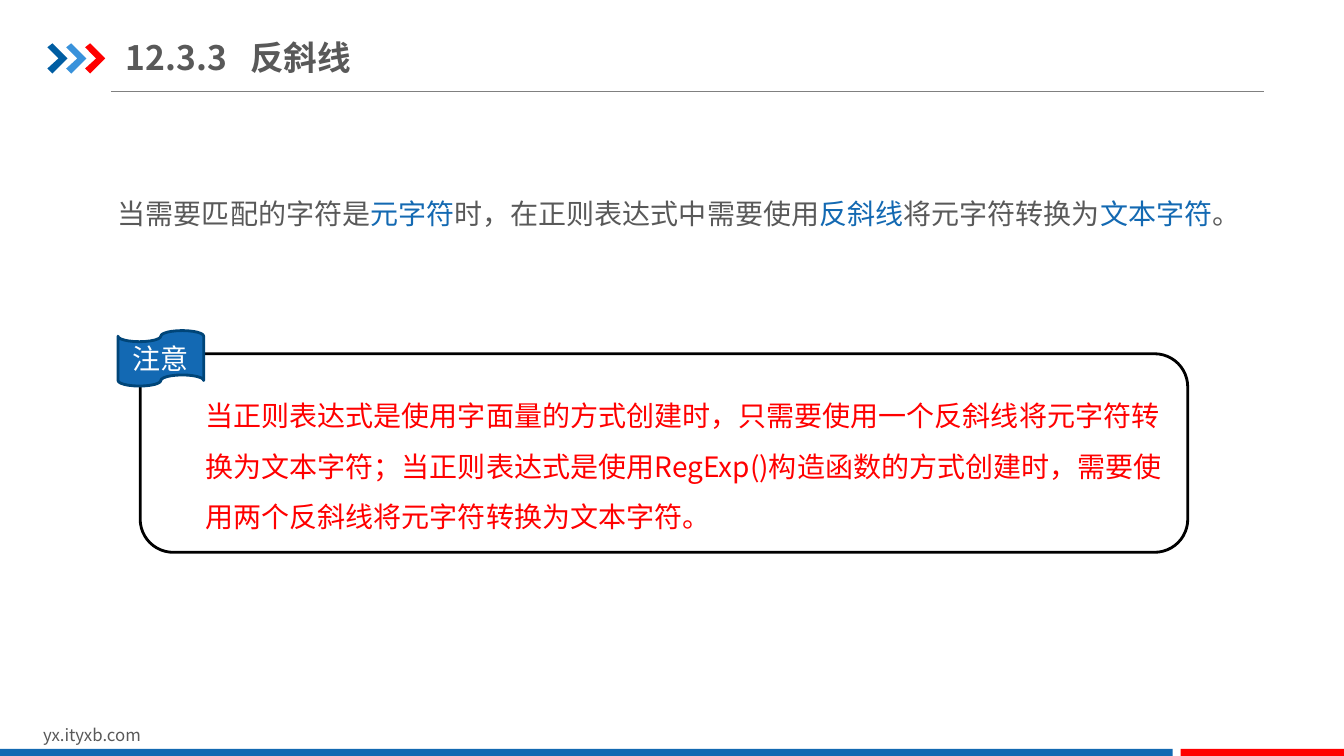
from lxml import etree
from pptx import Presentation
from pptx import util as u
from pptx.dml import color
from pptx.enum import shapes, text
from pptx.oxml import ns

FONT = "Noto Sans CJK SC"
GREY, BLUE, RED, WHITE = "595959", "1369B2", "FF0000", "FFFFFF"


def rgb(value):
    """Turn a hex string into a colour."""
    return color.RGBColor.from_string(value)


def box(lengths):
    """Turn left, top, width and height into lengths."""
    return [u.Inches(length) for length in lengths]


def paint(shape, fill=None, line=None, width=2):
    """Set the fill and outline of a shape and drop its shadow."""
    shape.shadow.inherit = False
    if fill:
        shape.fill.solid()
        shape.fill.fore_color.rgb = rgb(fill)
    else:
        shape.fill.background()
    if line:
        shape.line.color.rgb = rgb(line)
        shape.line.width = u.Pt(width)
    else:
        shape.line.fill.background()


def write(shape, runs, size, spacing=None, bold=None, align=None, tab=None, **frame_format):
    """Fill a shape with one paragraph of coloured runs."""
    frame = shape.text_frame
    for name, value in {"word_wrap": True, **frame_format}.items():
        setattr(frame, name, value)
    paragraph = frame.paragraphs[0]
    for name, value in {"line_spacing": spacing, "alignment": align}.items():
        setattr(paragraph, name, value)
    if tab:
        stops = etree.SubElement(paragraph._p.get_or_add_pPr(), ns.qn("a:tabLst"))
        etree.SubElement(stops, ns.qn("a:tab"), pos=str(u.Inches(tab)), algn="l")
    for words, shade in runs:
        run = paragraph.add_run()
        run.text = words
        run.font.color.rgb = rgb(shade)
        for name, value in {"size": u.Pt(size), "bold": bold, "name": FONT}.items():
            setattr(run.font, name, value)
        etree.SubElement(run.font._element, ns.qn("a:ea"), typeface=FONT)


def add_text(slide, lengths, runs, size, **formats):
    """Add a text box."""
    write(slide.shapes.add_textbox(*box(lengths)), runs, size, **formats)


def add_preset(slide, kind, lengths, **colours):
    """Add a painted preset shape."""
    shape = slide.shapes.add_shape(kind, *box(lengths))
    paint(shape, **colours)
    return shape


def add_chevron(slide, left, top, fill):
    """Draw one chevron of the heading mark."""
    points = [(0, 0.04), (0.05, 0), (0.2, 0.15), (0.05, 0.3), (0, 0.25), (0.11, 0.15)]
    corners = [(u.Inches(left + x), u.Inches(top + y)) for x, y in points]
    builder = slide.shapes.build_freeform(*corners[0])
    builder.add_line_segments(corners[1:], close=True)
    paint(builder.convert_to_shape(), fill)


def add_rule(slide, left, right, top):
    """Draw the thin line under the heading."""
    ends = box((left, top, right, top))
    rule = slide.shapes.add_connector(shapes.MSO_CONNECTOR.STRAIGHT, *ends)
    rule.line.color.rgb = rgb("808080")
    rule.line.width = u.Pt(0.75)
    etree.SubElement(rule._element.spPr, ns.qn("a:effectLst"))


def add_frame(slide):
    """Add the heading mark, its rule and the footer."""
    add_rule(slide, 1.1, 12.54, 0.91)
    for index, fill in enumerate(("005DA2", "3992DB", RED)):
        add_chevron(slide, 0.47 + 0.187 * index, 0.43, fill)
    add_text(slide, (0.33, 7.14, 3.18, 0.3), [("yx.ityxb.com", GREY)], 12)
    for left, width, fill in ((0, 11.63, BLUE), (11.71, 1.63, RED)):
        add_preset(slide, shapes.MSO_SHAPE.RECTANGLE, (left, 7.43, width, 0.09), fill=fill)


def add_note(slide, label, words):
    """Add the outlined note with its flag label."""
    add_preset(slide, shapes.MSO_SHAPE.ROUNDED_RECTANGLE, (1.39, 3.51, 10.39, 1.97), line="000000")
    flag = add_preset(slide, shapes.MSO_SHAPE.FLOWCHART_PUNCHED_TAPE, (1.17, 3.28, 0.85, 0.55),
                      fill="1369B3", line="004578")
    write(flag, [(label, WHITE)], 20, align=text.PP_ALIGN.CENTER,
          vertical_anchor=text.MSO_ANCHOR.MIDDLE)
    add_text(slide, (1.94, 3.74, 9.76, 1.56), [(words, RED)], 20, spacing=1.5)


def main():
    """Build and save the slide."""
    presentation = Presentation()
    presentation.slide_width = u.Inches(13.33)
    presentation.slide_height = u.Inches(7.5)
    slide = presentation.slides.add_slide(presentation.slide_layouts[6])
    add_frame(slide)
    add_text(slide, (1.25, 0.29, 2.3, 0.55), [("12.3.3\t反斜线", GREY)], 24, bold=True, tab=1.23,
             margin_left=0, margin_right=0, margin_top=u.Inches(0.07),
             margin_bottom=u.Inches(0.07), vertical_anchor=text.MSO_ANCHOR.MIDDLE)
    sentence = [
        ("当需要匹配的字符是", GREY), ("元字符", BLUE),
        ("时，在正则表达式中需要使用", GREY), ("反斜线", BLUE),
        ("将元字符转换为", GREY), ("文本字符", BLUE), ("。", GREY),
    ]
    add_text(slide, (1.07, 1.73, 11.48, 0.61), sentence, 20, spacing=1.5)
    add_note(slide, "注意",
             "当正则表达式是使用字面量的方式创建时，只需要使用一个反斜线将元字符转换为文本字符；"
             "当正则表达式是使用RegExp()构造函数的方式创建时，需要使用两个反斜线将元字符转换为文本字符。")
    presentation.save("out.pptx")


if __name__ == "__main__":
    main()
